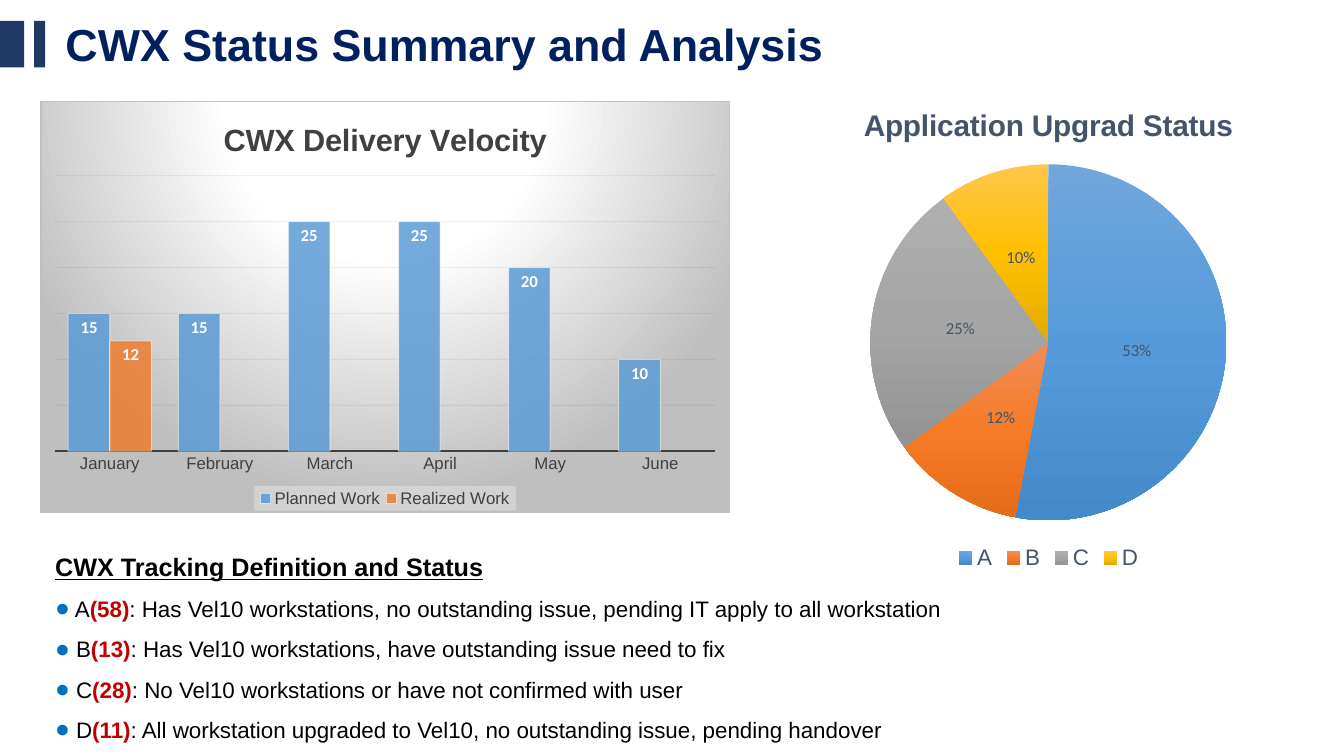
from lxml import etree
from pptx import Presentation
from pptx.chart.data import CategoryChartData
from pptx.dml.color import RGBColor
from pptx.enum import chart as ch, shapes, text
from pptx.oxml import parse_xml
from pptx.oxml.ns import nsdecls, qn
from pptx.util import Cm, Pt

# Content; every box is left, top, width, height in cm
TITLE = "CWX Status Summary and Analysis"
TITLE_BOX = (1.4, 0.23, 26.49, 1.93)
BARS = [(0, 0.53, 0.61, 1.17), (0.86, 0.53, 0.28, 1.17)]

NOTES_HEAD = "CWX Tracking Definition and Status"
NOTES_BOX = (1.14, 13.39, 24.97, 5.38)
NOTES = [
    ("A", 58, "Has Vel10 workstations, no outstanding issue, pending IT apply to all workstation"),
    ("B", 13, "Has Vel10 workstations, have outstanding issue need to fix"),
    ("C", 28, "No Vel10 workstations or have not confirmed with user"),
    ("D", 11, "All workstation upgraded to Vel10, no outstanding issue, pending handover"),
]

PIE = {
    "title": "Application Upgrad Status", "title_size": 21.3, "color": "44546A",
    "legend_size": 16, "box": (19.41, 2.16, 14.02, 12.32),
    "plot": (0.18, 0.16, 0.64, 0.73),
    "cats": ["A", "B", "C", "D"],
    "series": {"Application Upgrad Status": [53, 12, 25, 10]},
}
SLICES = [("71A6DB", "559BDB", "448ACA"), ("F18C57", "F67B28", "E56C19"),
          ("AFAFAF", "A5A5A5", "939393"), ("FFC64B", "FFC000", "E3AB00")]

VELOCITY = {
    "title": "CWX Delivery Velocity", "title_size": 22, "color": "404040",
    "legend_size": 12, "box": (1.02, 2.55, 17.37, 10.39),
    "plot": (0.02, 0.18, 0.96, 0.67),
    "cats": ["January", "February", "March", "April", "May", "June"],
    "series": {"Planned Work": [15, 15, 25, 25, 20, 10],
               "Realized Work": [12, None, None, None, None, None]},
}
COLUMN_COLORS = ["5B9BD5", "ED7D31"]


def rgb(color):
    return RGBColor.from_string(color)


def style(font, color=None, **values):
    if color:
        font.color.rgb = rgb(color)
    for name, value in values.items():
        setattr(font, name, value)


def cm(box):
    return [Cm(v) for v in box]


def add_run(p, words, **values):
    r = p.add_run()
    r.text = words
    style(r.font, name="Arial", **values)


def gradient(stops, direction):
    gs = "".join(f'<a:gs pos="{pos * 1000}"><a:srgbClr val="{c}"/></a:gs>' for pos, c in stops)
    return (f'<a:gradFill {nsdecls("a")} rotWithShape="1"><a:gsLst>{gs}</a:gsLst>'
            f'{direction}</a:gradFill>')


def set_alpha(clr, percent):
    etree.SubElement(clr, qn("a:alpha"), val=str(percent * 1000))


def add_background(parent, content):
    sp_pr = parse_xml(f'<c:spPr {nsdecls("c", "a")}>{content}</c:spPr>')
    parent.find(qn("c:txPr")).addprevious(sp_pr)


def manual_layout(parent, before, box, inner=False):
    for old in parent.findall(qn("c:layout")):
        parent.remove(old)
    target = '<c:layoutTarget val="inner"/>' if inner else ""
    modes = '<c:xMode val="edge"/><c:yMode val="edge"/>'
    sizes = "".join(f'<c:{k} val="{v}"/>' for k, v in zip("xywh", box))
    before.addprevious(parse_xml(
        f'<c:layout {nsdecls("c")}><c:manualLayout>{target}{modes}{sizes}'
        '</c:manualLayout></c:layout>'))


def add_chart(s, kind, info):
    data = CategoryChartData()
    data.categories = info["cats"]
    for name, values in info["series"].items():
        data.add_series(name, values)
    chart = s.shapes.add_chart(kind, *cm(info["box"]), data).chart
    style(chart.font, "000000", name="Calibri", size=Pt(10))
    chart.has_title = True
    tf = chart.chart_title.text_frame
    add_run(tf.paragraphs[0], info["title"], color=info["color"],
            size=Pt(info["title_size"]), bold=True)
    chart.chart_title.include_in_layout = False
    chart.has_legend = True
    chart.legend.position = ch.XL_LEGEND_POSITION.BOTTOM
    chart.legend.include_in_layout = False
    style(chart.legend.font, info["color"], name="Arial", size=Pt(info["legend_size"]))
    area = chart._element.find(".//" + qn("c:plotArea"))
    plot_xml = next(e for e in area if e.tag != qn("c:layout"))
    manual_layout(area, plot_xml, info["plot"], inner=True)
    return chart


def add_labels(owner, position, **values):
    labels = owner.data_labels
    labels.position = position
    style(labels.font, name="Calibri", size=Pt(12), **values)
    return labels


prs = Presentation()
prs.slide_width, prs.slide_height = Cm(33.87), Cm(19.05)
s = prs.slides.add_slide(prs.slide_layouts[6])

# Heading with its two bars
tf = s.shapes.add_textbox(*cm(TITLE_BOX)).text_frame
tf.word_wrap = True
tf.vertical_anchor = text.MSO_ANCHOR.MIDDLE
tf.paragraphs[0].line_spacing = 0.9
add_run(tf.paragraphs[0], TITLE, color="002060", size=Pt(32), bold=True)
for box in BARS:
    sp = s.shapes.add_shape(shapes.MSO_SHAPE.RECTANGLE, *cm(box))
    sp.shadow.inherit = False
    sp.fill.solid()
    sp.fill.fore_color.rgb = rgb("203864")
    sp.line.fill.background()

# Tracking definitions
tf = s.shapes.add_textbox(*cm(NOTES_BOX)).text_frame
tf.word_wrap = True
tf.auto_size = text.MSO_AUTO_SIZE.SHAPE_TO_FIT_TEXT
p = tf.paragraphs[0]
p.line_spacing = 1.5
add_run(p, NOTES_HEAD, color="000000", size=Pt(18), bold=True, underline=True)
for group, count, meaning in NOTES:
    p = tf.add_paragraph()
    p.line_spacing = 1.5
    p_pr = p._p.get_or_add_pPr()
    clr = etree.SubElement(p_pr, qn("a:buClr"))
    etree.SubElement(clr, qn("a:srgbClr"), val="0070C0")
    etree.SubElement(p_pr, qn("a:buSzPct"), val="110000")
    etree.SubElement(p_pr, qn("a:buFont"), typeface="Arial")
    etree.SubElement(p_pr, qn("a:buChar"), char="●")
    add_run(p, f" {group}", color="000000", size=Pt(16))
    add_run(p, f"({count})", color="C00000", size=Pt(16), bold=True)
    add_run(p, f": {meaning}", color="000000", size=Pt(16))

# Upgrade status pie
chart = add_chart(s, ch.XL_CHART_TYPE.PIE, PIE)
plot = chart.plots[0]
plot.vary_by_categories = True
plot.has_data_labels = True
labels = add_labels(plot, ch.XL_LABEL_POSITION.CENTER, color=PIE["color"])
labels.show_percentage, labels.show_value = True, False
labels.number_format, labels.number_format_is_linked = "0%", False
for i in range(len(SLICES)):
    point = plot.series[0].points[i]
    point.format.line.fill.background()
    point.format.fill.background()
for d_pt, colors in zip(chart._element.iter(qn("c:dPt")), SLICES):
    sp_pr = d_pt.find(qn("c:spPr"))
    fill = gradient(zip((0, 50, 100), colors), '<a:lin ang="5400000" scaled="0"/>')
    sp_pr.replace(sp_pr.find(qn("a:noFill")), parse_xml(fill))

# Delivery velocity columns
chart = add_chart(s, ch.XL_CHART_TYPE.COLUMN_CLUSTERED, VELOCITY)
plot = chart.plots[0]
plot.vary_by_categories = False
plot.gap_width, plot.overlap = 65, 0
for series, color in zip(plot.series, COLUMN_COLORS):
    fill, line = series.format.fill, series.format.line
    fill.solid()
    fill.fore_color.rgb = rgb(color)
    line.color.rgb = rgb("FFFFFF")
    line.width = Pt(0.75)
    sp_pr = series._element.find(qn("c:spPr"))
    for clr, percent in zip(sp_pr.iter(qn("a:srgbClr")), (85, 50)):
        set_alpha(clr, percent)
    add_labels(series, ch.XL_LABEL_POSITION.INSIDE_END, color="FFFFFF", bold=True).show_value = True
axis = chart.category_axis
axis.major_tick_mark = ch.XL_TICK_MARK.NONE
style(axis.tick_labels.font, "404040", name="Arial", size=Pt(12))
axis.format.line.color.rgb = rgb("404040")
axis.format.line.width = Pt(1.5)
axis = chart.value_axis
axis.minimum_scale, axis.maximum_scale, axis.major_unit = 0, 30, 5
axis.visible = False
grid = axis.major_gridlines
grid.format.line.color.rgb = rgb("0D0D0D")
grid.format.line.width = Pt(0.75)
set_alpha(next(chart._element.find(".//" + qn("c:majorGridlines")).iter(qn("a:srgbClr"))), 6)

# Velocity background and legend panel
glow = '<a:path path="circle"><a:fillToRect l="50000" t="-80000" r="50000" b="180000"/></a:path>'
border = '<a:ln w="9525"><a:solidFill><a:srgbClr val="BFBFBF"/></a:solidFill></a:ln>'
add_background(chart._element, gradient([(0, "FFFFFF"), (39, "FFFFFF"), (100, "BFBFBF")], glow) + border)
legend = chart.legend._element
add_background(legend, '<a:solidFill><a:srgbClr val="F2F2F2"><a:alpha val="39000"/></a:srgbClr></a:solidFill>')
manual_layout(legend, legend.find(qn("c:overlay")), (0.31, 0.94, 0.38, 0.06))

prs.save("out.pptx")
